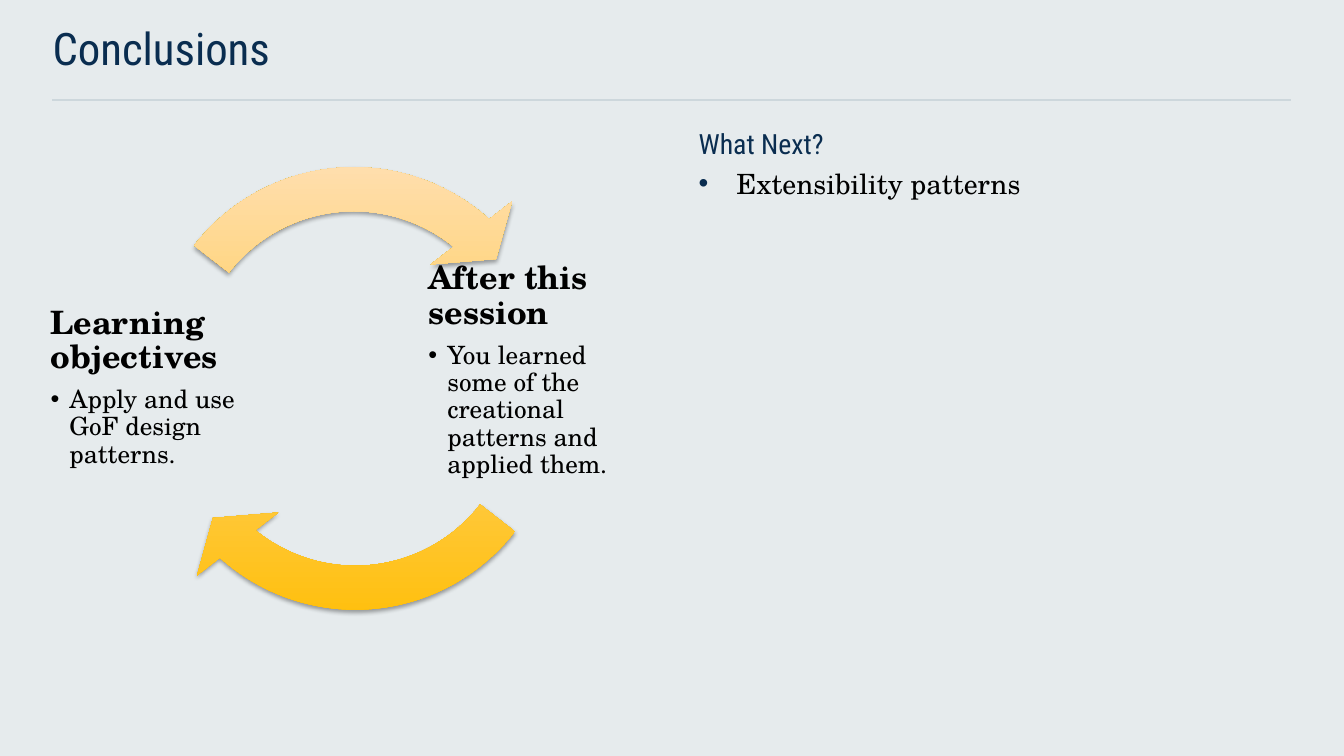
import pptx
import pptx.util
import pptx.dml.color
import pptx.enum.shapes
import pptx.enum.text
import pptx.oxml
import pptx.oxml.ns

Pt = pptx.util.Pt
RGBColor = pptx.dml.color.RGBColor
ANCHOR = pptx.enum.text.MSO_ANCHOR
SHAPES = pptx.enum.shapes.MSO_SHAPE

NAVY = RGBColor(0x0A, 0x2D, 0x50)
BLACK = RGBColor(0, 0, 0)
BACKDROP = RGBColor(0xE6, 0xEB, 0xED)
RULE_GREY = RGBColor(0xCD, 0xD7, 0xDC)
AMBER = RGBColor(0xFF, 0xBE, 0x05)
CREAM = RGBColor(0xFF, 0xE0, 0xB8)

HEADING_FONT = "Roboto Condensed"
BODY_FONT = "TeX Gyre Schola"
NAMESPACE = pptx.oxml.ns.nsdecls("a")


def xml(markup):
    """Parse one DrawingML element given without its namespace."""
    head, tail = markup.split(">", 1)
    if head.endswith("/"):
        return pptx.oxml.parse_xml(f"{head[:-1]} {NAMESPACE}/>{tail}")
    return pptx.oxml.parse_xml(f"{head} {NAMESPACE}>{tail}")


def write(frame, text, size, font=BODY_FONT, color=BLACK, bold=False, spacing=1.0,
          after=0, level=0, bullet_color=None, indent=0):
    """Add a paragraph; the first call fills the empty first paragraph."""
    paragraph = frame.paragraphs[0] if not frame.text else frame.add_paragraph()
    paragraph.alignment = pptx.enum.text.PP_ALIGN.LEFT
    paragraph.level = level
    paragraph.line_spacing = spacing
    paragraph.space_after = Pt(after)
    if bullet_color is not None:
        properties = paragraph._p.get_or_add_pPr()
        properties.set("marL", str(Pt(indent)))
        properties.set("indent", str(-Pt(indent)))
        properties.append(xml(f'<a:buClr><a:srgbClr val="{bullet_color}"/></a:buClr>'))
        properties.append(xml('<a:buFont typeface="Arial"/>'))
        properties.append(xml('<a:buChar char="•"/>'))
    run = paragraph.add_run()
    run.text = text
    run.font.size = Pt(size)
    run.font.name = font
    run.font.bold = bold
    run.font.color.rgb = color


def set_frame(frame, anchor=ANCHOR.TOP, inset=0, bottom_inset=None):
    frame.word_wrap = True
    frame.auto_size = pptx.enum.text.MSO_AUTO_SIZE.NONE
    frame.vertical_anchor = anchor
    frame.margin_left = frame.margin_right = frame.margin_top = Pt(inset)
    frame.margin_bottom = Pt(inset if bottom_inset is None else bottom_inset)


def add_header(slide, left, top, width, height):
    # Title
    title = slide.shapes.title
    title.left, title.top, title.width, title.height = map(Pt, (left, top, width, height))
    set_frame(title.text_frame)
    write(title.text_frame, "Conclusions", 32, font=HEADING_FONT, color=NAVY)
    # Rule under the title
    rule_y = Pt(top + height - 0.5)
    rule = slide.shapes.add_connector(pptx.enum.shapes.MSO_CONNECTOR.STRAIGHT,
                                      Pt(left), rule_y, Pt(left + width), rule_y)
    rule.line.color.rgb = RULE_GREY
    rule.line.width = Pt(1)
    rule._element.spPr.append(xml("<a:effectLst/>"))


def add_next_steps(slide, left, top, width, height):
    next_steps = slide.shapes.add_textbox(*map(Pt, (left, top, width, height))).text_frame
    set_frame(next_steps)
    write(next_steps, "What Next?", 19.9, font=HEADING_FONT, color=NAVY, spacing=1.2)
    write(next_steps, "Extensibility patterns", 19.9, spacing=1.2,
          bullet_color=NAVY, indent=27)


def add_cycle_stage(slide, left, top, width, height, heading, detail, bottom_inset):
    stage = slide.shapes.add_textbox(*map(Pt, (left, top, width, height))).text_frame
    set_frame(stage, ANCHOR.MIDDLE, 2.1, bottom_inset)
    write(stage, heading, 23, bold=True, spacing=0.9, after=8)
    write(stage, detail, 18, spacing=0.9, after=2.7, level=1,
          bullet_color=BLACK, indent=13.5)


def add_cycle_arrow(slide, left, top, size, end_angle, start_angle):
    arrow = slide.shapes.add_shape(SHAPES.CIRCULAR_ARROW, *map(Pt, (left, top, size, size)))
    for index, value in enumerate((0.095, 6.856, end_angle, start_angle, 0.111)):
        arrow.adjustments[index] = value
    arrow.fill.gradient()
    arrow.fill.gradient_angle = 90
    for stop, position, color in zip(arrow.fill.gradient_stops, (0, 1), (AMBER, CREAM)):
        stop.position = position
        stop.color.rgb = color
    arrow.line.fill.background()
    arrow._element.spPr.append(xml(
        f'<a:effectLst><a:outerShdw blurRad="{Pt(3.1)}" dist="{Pt(1.8)}" dir="5400000" '
        'rotWithShape="0"><a:srgbClr val="000000"><a:alpha val="35000"/></a:srgbClr>'
        '</a:outerShdw></a:effectLst>'))


def add_learning_cycle(slide, left, top):
    arrow_size, stage_top, stage_height = 330.5, top + 98, 160.5
    # Session outcome and the lower arrow leading back
    add_cycle_stage(slide, left + 270, stage_top, 160.5, stage_height, "After this session",
                    "You learned some of the creational patterns and applied them.", 26.5)
    add_cycle_arrow(slide, left + 54.5, top + 27.5, arrow_size, 78.477, 22.667)
    # Objectives and the upper arrow leading on
    add_cycle_stage(slide, left, stage_top, 175.5, stage_height, "Learning objectives",
                    "Apply and use GoF design patterns.", 2.1)
    add_cycle_arrow(slide, left + 53.5, top, arrow_size, 186.477, 130.667)


def main():
    deck = pptx.Presentation()
    deck.slide_width, deck.slide_height = Pt(960), Pt(540)
    slide = deck.slides.add_slide(deck.slide_layouts.get_by_name("Title Only"))
    slide.background.fill.solid()
    slide.background.fill.fore_color.rgb = BACKDROP
    add_header(slide, 37.5, 15, 884.5, 57)
    add_next_steps(slide, 499, 85.5, 423, 392.5)
    add_learning_cycle(slide, 34, 98.5)
    deck.save("out.pptx")


if __name__ == "__main__":
    main()
